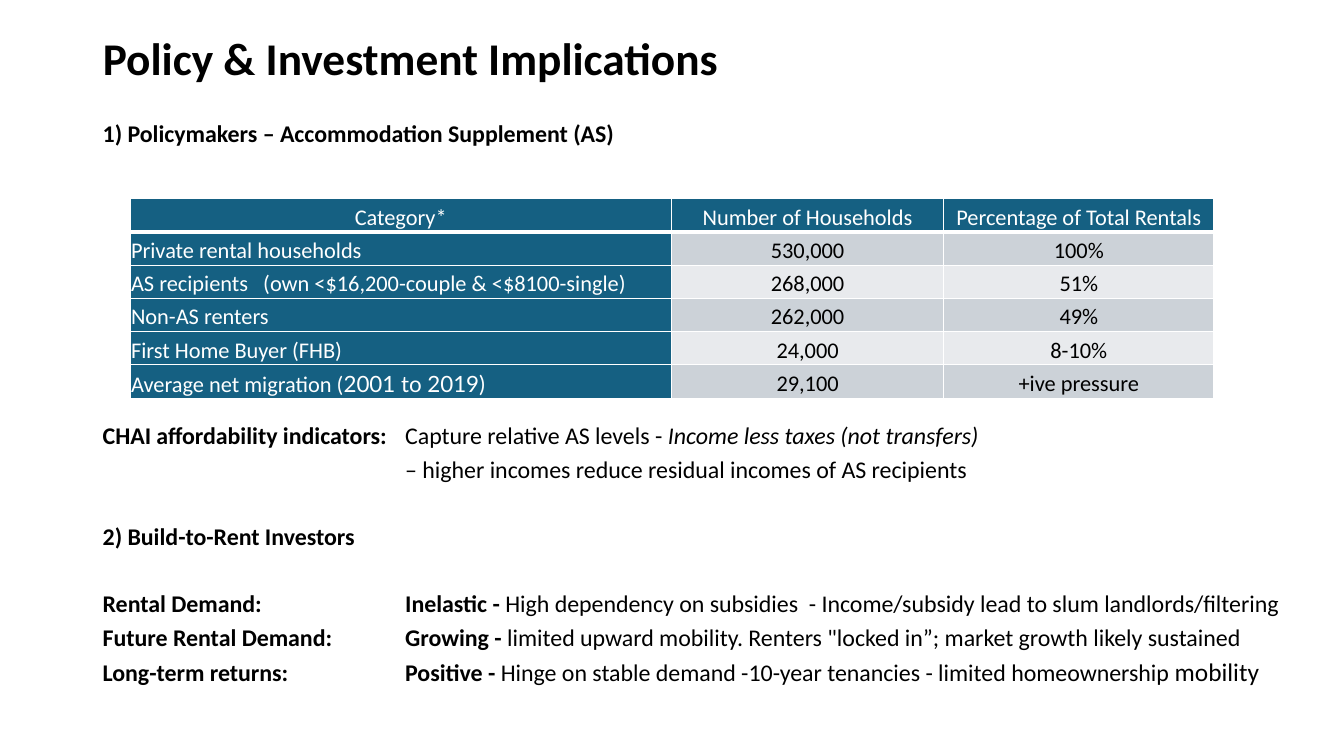
import dataclasses
import typing

import pptx
import pptx.dml.color
import pptx.enum.text
import pptx.oxml
import pptx.oxml.ns
import pptx.util

PX = 9144  # EMU, 100 px to the inch
ALIGN = pptx.enum.text.PP_ALIGN
ANCHOR = pptx.enum.text.MSO_ANCHOR


@dataclasses.dataclass(frozen=True)
class Theme:
    font: str = "Calibri"
    alt: str = "Lato"
    ink: str = "000000"
    white: str = "FFFFFF"
    head: str = "156082"
    bands: tuple[str, str] = ("CCD2D8", "E8EAED")
    title: float = 32.4
    body: float = 17.1
    large: float = 18.1
    cell: float = 16


THEME = Theme()


@dataclasses.dataclass(frozen=True)
class Run:
    text: str
    bold: bool = False
    italic: bool = False
    size: float = THEME.body
    font: str = THEME.font
    color: str = THEME.ink


@dataclasses.dataclass(frozen=True)
class Line:
    label: str
    runs: tuple[Run, ...] = ()


@dataclasses.dataclass(frozen=True)
class Block:
    top: int
    height: int
    lines: tuple[Line, ...]


LEFT, WIDTH, TAB = 92, 1191, 300
BLOCKS = (
    Block(121, 34, (Line("1) Policymakers – Accommodation Supplement (AS)"),)),
    Block(420, 68, (
        Line("CHAI affordability indicators:", (
            Run("Capture relative AS levels - "),
            Run("Income less taxes (not transfers)", italic=True))),
        Line("", (Run("– higher incomes reduce residual incomes of AS recipients"),)))),
    Block(520, 34, (Line("2) Build-to-Rent Investors"),)),
    Block(587, 102, (
        Line("Rental Demand:", (
            Run("Inelastic - ", bold=True),
            Run("High dependency on subsidies  - Income/subsidy lead to slum landlords/filtering"))),
        Line("Future Rental Demand:", (
            Run("Growing - ", bold=True),
            Run("limited upward mobility. Renters \"locked in”; market growth likely sustained"))),
        Line("Long-term returns:", (
            Run("Positive - ", bold=True),
            Run("Hinge on stable demand -10-year tenancies - limited homeownership "),
            Run("mobility", size=THEME.large))))),
)

COLS = (537, 270, 268)
ROW = 33
ROWS = (
    (("Category*",), "Number of Households", "Percentage of Total Rentals"),
    (("Private rental households",), "530,000", "100%"),
    (("AS recipients   (own <$16,200-couple & <$8100-single)",), "268,000", "51%"),
    (("Non-AS renters",), "262,000", "49%"),
    (("First Home Buyer (FHB)",), "24,000", "8-10%"),
    (("Average net migration (", "2001 to 2019)"), "29,100", "+ive pressure"),
)


def px(n: int) -> pptx.util.Emu:
    return pptx.util.Emu(n * PX)


def rgb(code: str) -> pptx.dml.color.RGBColor:
    return pptx.dml.color.RGBColor.from_string(code)


def assign(item: typing.Any, form: dict[str, typing.Any]) -> None:
    for name, value in form.items():
        setattr(item, name, value)


def write(para: typing.Any, run: Run) -> None:
    part = para.add_run()
    part.text = run.text
    assign(part.font, {"name": run.font, "size": pptx.util.Pt(run.size),
                       "bold": run.bold, "italic": run.italic})
    part.font.color.rgb = rgb(run.color)


def indent(para: typing.Any, label: str) -> None:
    """Put the second column at a tab stop, or at a margin if unlabelled."""
    props = para._p.get_or_add_pPr()
    if label:
        props.append(pptx.oxml.parse_xml(
            f'<a:tabLst {pptx.oxml.ns.nsdecls("a")}>'
            f'<a:tab pos="{px(TAB)}" algn="l"/></a:tabLst>'))
    else:
        props.set("marL", str(px(TAB)))


def draw_block(slide: typing.Any, block: Block) -> None:
    box = slide.shapes.add_textbox(px(LEFT), px(block.top), px(WIDTH), px(block.height))
    frame = box.text_frame
    frame.word_wrap = True
    for i, line in enumerate(block.lines):
        para = frame.add_paragraph() if i else frame.paragraphs[0]
        assign(para, {"line_spacing": 0.7, "space_before": pptx.util.Pt(10 if i else 0)})
        if line.runs:
            indent(para, line.label)
        if line.label:
            write(para, Run(line.label + ("\t" if line.runs else ""), bold=True))
        for run in line.runs:
            write(para, run)


def border(cell: typing.Any, row: int) -> None:
    props = cell._tc.get_or_add_tcPr()
    wide = {"T": 3 if row == 1 else 1, "B": 3 if row == 0 else 1}
    for side in "LRTB":
        props.append(pptx.oxml.parse_xml(
            f'<a:ln{side} {pptx.oxml.ns.nsdecls("a")} w="{pptx.util.Pt(wide.get(side, 1))}">'
            f'<a:solidFill><a:srgbClr val="{THEME.white}"/></a:solidFill></a:ln{side}>'))


def draw_cell(cell: typing.Any, row: int, col: int, texts: tuple[str, ...]) -> None:
    dark = row == 0 or col == 0
    assign(cell, {"vertical_anchor": ANCHOR.MIDDLE, "margin_left": px(1),
                  "margin_right": px(1), "margin_top": px(1), "margin_bottom": px(1)})
    border(cell, row)
    cell.fill.solid()
    cell.fill.fore_color.rgb = rgb(THEME.head if dark else THEME.bands[(row - 1) % 2])
    para = cell.text_frame.paragraphs[0]
    assign(para, {"line_spacing": 1.15,
                  "alignment": ALIGN.LEFT if row and not col else ALIGN.CENTER})
    for text, font in zip(texts, (THEME.font, THEME.alt)):
        write(para, Run(text, size=THEME.cell, font=font,
                        color=THEME.white if dark else THEME.ink))


def draw_table(slide: typing.Any) -> None:
    table = slide.shapes.add_table(len(ROWS), len(COLS), px(129), px(197),
                                   px(sum(COLS)), px(ROW * len(ROWS))).table
    for col, width in zip(table.columns, COLS):
        col.width = px(width)
    for r, (first, *rest) in enumerate(ROWS):
        table.rows[r].height = px(ROW)
        for c, texts in enumerate((first, *((text,) for text in rest))):
            draw_cell(table.cell(r, c), r, c, texts)


def draw_title(slide: typing.Any) -> None:
    title = slide.shapes.title
    assign(title, {"left": px(LEFT), "top": px(36), "width": px(1150), "height": px(97)})
    frame = title.text_frame
    assign(frame, {"vertical_anchor": ANCHOR.TOP, "margin_top": 0, "word_wrap": True,
                   "auto_size": pptx.enum.text.MSO_AUTO_SIZE.NONE})
    para = frame.paragraphs[0]
    assign(para, {"alignment": ALIGN.LEFT, "line_spacing": 0.9})
    write(para, Run("Policy & Investment Implications", bold=True, size=THEME.title))


def main() -> None:
    deck = pptx.Presentation()
    assign(deck, {"slide_width": px(1333), "slide_height": px(750)})
    slide = deck.slides.add_slide(deck.slide_layouts[5])
    # Title, text blocks, then the table
    draw_title(slide)
    for block in BLOCKS:
        draw_block(slide, block)
    draw_table(slide)
    deck.save("out.pptx")


if __name__ == "__main__":
    main()
